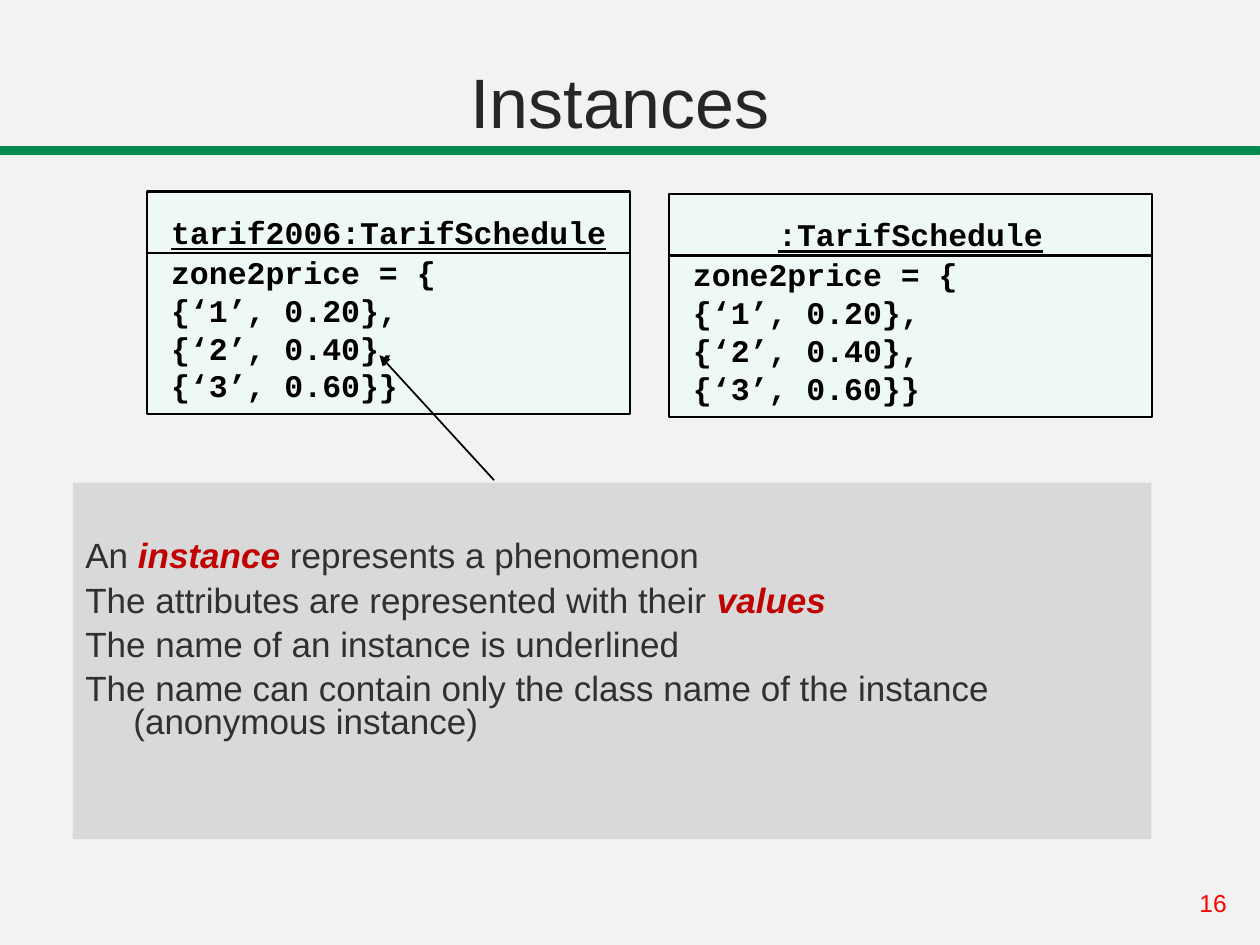
from pptx import Presentation
from pptx.util import Cm, Pt
from pptx.dml.color import RGBColor
from pptx.enum.shapes import MSO_SHAPE, MSO_CONNECTOR
from pptx.enum.text import PP_ALIGN, MSO_ANCHOR
from pptx.oxml.ns import qn
from lxml import etree

RECT, LINE = MSO_SHAPE.RECTANGLE, MSO_CONNECTOR.STRAIGHT
LEFT, MID = PP_ALIGN.LEFT, PP_ALIGN.CENTER
TOP, CORE, LOW = MSO_ANCHOR.TOP, MSO_ANCHOR.MIDDLE, MSO_ANCHOR.BOTTOM

HUES = {"back": "F2F2F2", "rule": "018952", "panel": "D9D9D9", "box": "EEF9F4",
        "ink": "000000", "title": "262626", "text": "303030", "key": "C00000",
        "page": "FF0000"}

FONTS = {
    "title": {"name": "Arial", "size": Pt(40)},
    "page": {"name": "Arial", "size": Pt(14)},
    "text": {"name": "Arial", "size": Pt(20)},
    "key": {"name": "Arial", "size": Pt(20), "bold": True, "italic": True},
    "code": {"name": "Courier New", "size": Pt(18), "bold": True},
    "name": {"name": "Courier New", "size": Pt(18), "bold": True, "underline": True},
}
INK = {"code": "ink", "name": "ink"}

TITLE = [[("Instances", "title")]]
PAGE = [[("16", "page")]]
VALUES = ["zone2price = {", "{‘1’, 0.20},", "{‘2’, 0.40},", "{‘3’, 0.60}}"]
CARDS = [("tarif2006:TarifSchedule", 2.97, 3.86), (":TarifSchedule", 13.49, 3.91)]
NOTES = [
    [("An ", "text"), ("instance", "key"), (" represents a phenomenon", "text")],
    [("The attributes are represented with their ", "text"), ("values", "key")],
    [("The name of an instance is underlined", "text")],
    [("The name can contain only the class name of the instance "
      "(anonymous instance)", "text")],
]
CARD_W, HEAD_H, BODY_H = 9.73, 1.24, 3.25
HANG = Cm(0.97)


def tint(hue):
    return RGBColor.from_string(HUES[hue])


def block(slide, area, fill, edge=None, width=1.25):
    shape = slide.shapes.add_shape(RECT, *map(Cm, area))
    shape.shadow.inherit = False
    shape.fill.solid()
    shape.fill.fore_color.rgb = tint(fill)
    if edge:
        shape.line.color.rgb = tint(edge)
        shape.line.width = Pt(width)
    else:
        shape.line.fill.background()
    return shape


def write(shape, paras, align=LEFT, anchor=TOP, pads=(0.25, 0.13, 0.25, 0.13)):
    frame = shape.text_frame
    frame.word_wrap = True
    frame.vertical_anchor = anchor
    for side, pad in zip(("left", "top", "right", "bottom"), pads):
        setattr(frame, "margin_" + side, Cm(pad))
    for i, runs in enumerate(paras):
        para = frame.add_paragraph() if i else frame.paragraphs[0]
        para.alignment = align
        for text, kind in runs:
            run = para.add_run()
            run.text = text
            for key, value in FONTS[kind].items():
                setattr(run.font, key, value)
            run.font.color.rgb = tint(INK.get(kind, kind))
    return frame.paragraphs


def card(slide, name, left, top):
    body = block(slide, (left, top + HEAD_H, CARD_W, BODY_H), "box", "ink")
    write(body, [[(text, "code")] for text in VALUES], pads=(0.48, 0, 0, 0))
    head = block(slide, (left, top, CARD_W, HEAD_H), "box", "ink")
    write(head, [[(name, "name")]], MID, LOW, (0, 0, 0, 0.05))


def arrow(slide, ends):
    line = slide.shapes.add_connector(LINE, *map(Cm, ends))
    line.line.color.rgb = tint("ink")
    line.line.width = Pt(1)
    stroke = line.line._get_or_add_ln()
    etree.SubElement(stroke, qn("a:tailEnd"), type="triangle")
    etree.SubElement(line._element.spPr, qn("a:effectLst"))


def main():
    deck = Presentation()
    deck.slide_width, deck.slide_height = Cm(25.4), Cm(19.05)
    slide = deck.slides.add_slide(deck.slide_layouts[6])
    slide.background.fill.solid()
    slide.background.fill.fore_color.rgb = tint("back")

    block(slide, (0, 2.97, 25.4, 0.13), "rule", "rule", 1.75)
    page = slide.shapes.add_textbox(*map(Cm, (23.93, 17.78, 1.47, 0.86)))
    write(page, PAGE)
    title = slide.shapes.add_textbox(*map(Cm, (1.17, 0.61, 22.66, 2.39)))
    write(title, TITLE, MID, LOW)

    panel = block(slide, (1.47, 9.73, 21.74, 7.19), "panel")
    for para in write(panel, NOTES, LEFT, CORE, (0.25, 0.13, 0.25, 0.9)):
        para.line_spacing = 0.8
        para.space_before = Pt(6)
        props = para._p.get_or_add_pPr()
        props.set("marL", str(HANG))
        props.set("indent", str(-HANG))

    for item in CARDS:
        card(slide, *item)
    arrow(slide, (9.96, 9.68, 7.65, 7.16))
    deck.save("out.pptx")


if __name__ == "__main__":
    main()
